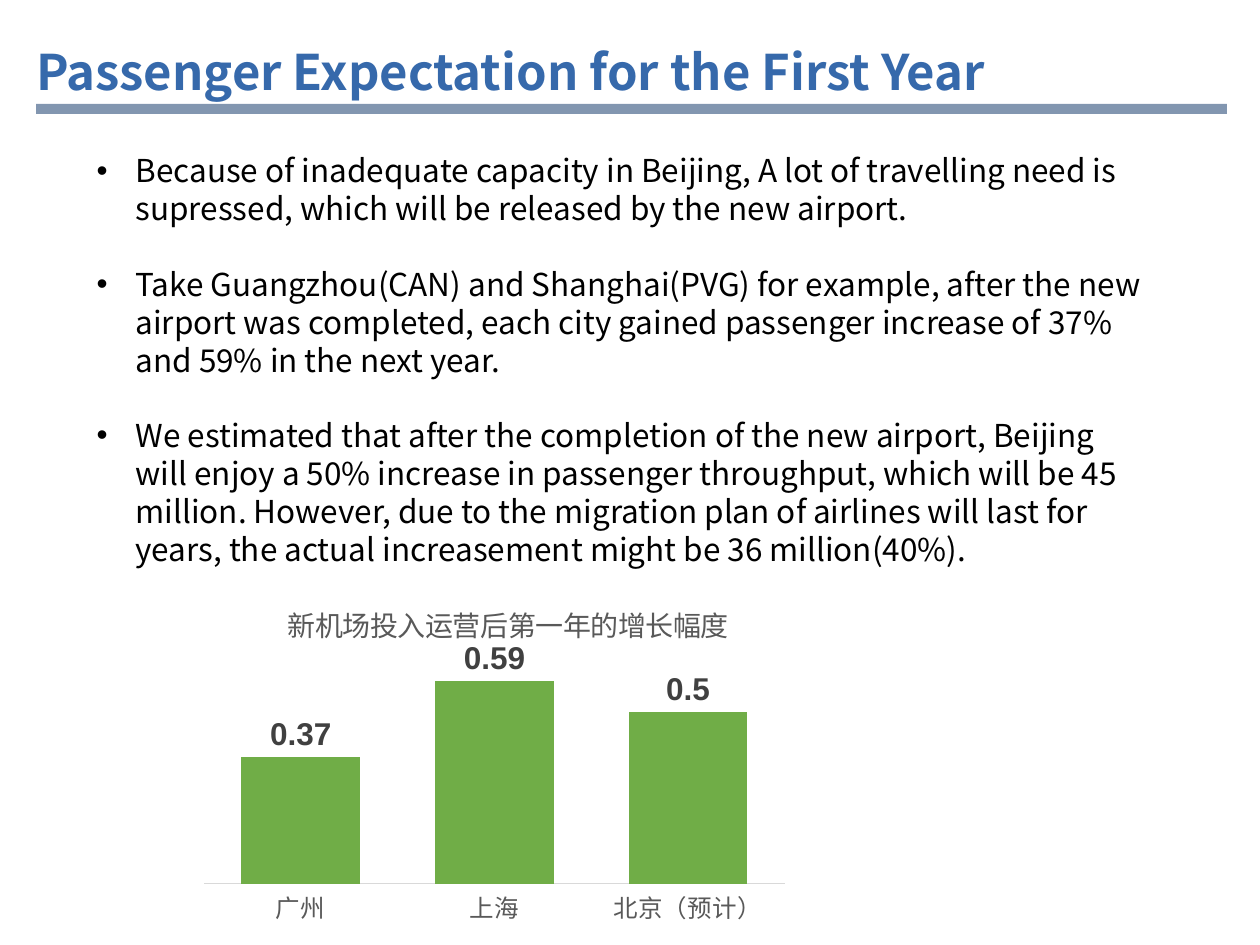
from lxml.etree import SubElement
from pptx import Presentation
from pptx.chart.data import CategoryChartData
from pptx.dml.color import RGBColor
from pptx.enum.chart import XL_CHART_TYPE, XL_LABEL_POSITION, XL_TICK_MARK
from pptx.enum.shapes import MSO_SHAPE
from pptx.enum.text import MSO_ANCHOR, MSO_AUTO_SIZE, PP_ALIGN
from pptx.oxml.ns import qn
from pptx.util import Inches, Pt

BLUE = RGBColor(0x36, 0x69, 0xAB)
SLATE = RGBColor(0x82, 0x96, 0xB0)
GREEN = RGBColor(0x70, 0xAD, 0x47)
BLACK = RGBColor(0, 0, 0)
DARK = RGBColor(0x40, 0x40, 0x40)
GRAY = RGBColor(0x59, 0x59, 0x59)
PALE = RGBColor(0xD9, 0xD9, 0xD9)
FACE = "Noto Sans CJK SC"
PX = Inches(1) // 126

POINTS = [
    "Because of inadequate capacity in Beijing, A lot of travelling need is "
    "supressed, which will be released by the new airport.",
    "Take Guangzhou(CAN) and Shanghai(PVG) for example, after the new airport "
    "was completed, each city gained passenger increase of 37% and 59% in the "
    "next year.",
    "We estimated that after the completion of the new airport, Beijing will "
    "enjoy a 50% increase in passenger throughput, which will be 45 million. "
    "However, due to the migration plan of airlines will last for years, the "
    "actual increasement might be 36 million(40%).",
]
GROWTH = {"广州": 0.37, "上海": 0.59, "北京（预计）": 0.5}


def style(font, size, color, bold=False, face=FACE):
    font.name, font.size, font.bold = face, Pt(size), bold
    font.color.rgb = color


def write(para, text, **form):
    """Put text into a paragraph as one run with the given format."""
    run = para.add_run()
    run.text = text
    style(run.font, **form)


def move(shape, left, top, width, height):
    shape.left, shape.top = left * PX, top * PX
    shape.width, shape.height = width * PX, height * PX


def add_title(slide, text):
    shape = slide.shapes.title
    move(shape, 36, 44, 1047, 53)
    frame = shape.text_frame
    frame.auto_size = MSO_AUTO_SIZE.NONE
    frame.vertical_anchor = MSO_ANCHOR.MIDDLE
    frame.margin_left = frame.margin_right = 0
    frame.margin_top = frame.margin_bottom = 0
    para = frame.paragraphs[0]
    para.alignment = PP_ALIGN.LEFT
    write(para, text, size=28, color=BLUE, bold=True)


def add_rule(slide):
    bar = slide.shapes.add_shape(
        MSO_SHAPE.RECTANGLE, 36 * PX, 104 * PX, 1191 * PX, 10 * PX)
    bar.shadow.inherit = False
    bar.fill.solid()
    bar.fill.fore_color.rgb = SLATE
    bar.line.fill.background()


def add_list(slide, points):
    shape = slide.placeholders[1]
    move(shape, 84, 145, 1070, 431)
    frame = shape.text_frame
    frame.auto_size = MSO_AUTO_SIZE.NONE
    for i, text in enumerate(points):
        para = frame.add_paragraph() if i else frame.paragraphs[0]
        para.line_spacing = Pt(21.7)
        para.space_before, para.space_after = Pt(0), Pt(21.3)
        props = para._p.get_or_add_pPr()
        props.set("marL", str(39 * PX))
        props.set("indent", str(-39 * PX))
        write(para, text, size=18, color=BLACK)


def lay_out(node, index, **parts):
    """Give a chart part a manual layout, as shares of the chart's size."""
    for old in node.findall(qn("c:layout")):
        node.remove(old)
    layout = SubElement(node, qn("c:layout"))
    node.insert(index, layout)
    manual = SubElement(layout, qn("c:manualLayout"))
    for name, value in parts.items():
        SubElement(manual, qn(f"c:{name}")).set("val", str(value))


def add_chart(slide, title, values):
    data = CategoryChartData()
    data.categories = list(values)
    data.add_series("Series 1", list(values.values()))
    chart = slide.shapes.add_chart(
        XL_CHART_TYPE.COLUMN_CLUSTERED,
        192 * PX, 567 * PX, 605 * PX, 364 * PX, data).chart
    style(chart.font, 10, BLACK, face="Calibri")
    chart.has_legend = False
    chart.has_title = True
    write(chart.chart_title.text_frame.paragraphs[0], title,
          size=16, color=GRAY)

    base = chart.category_axis
    base.major_tick_mark = XL_TICK_MARK.NONE
    style(base.tick_labels.font, 14, GRAY)
    base.format.line.color.rgb = PALE
    base.format.line.width = Pt(0.75)
    scale = chart.value_axis
    scale.minimum_scale, scale.maximum_scale = 0, 0.7
    scale.has_major_gridlines = False
    scale.visible = False

    plot = chart.plots[0]
    plot.gap_width, plot.overlap = 63, -55
    plot.vary_by_categories = False
    bars = plot.series[0]
    bars.format.fill.solid()
    bars.format.fill.fore_color.rgb = GREEN
    labels = bars.data_labels
    labels.show_value = True
    labels.position = XL_LABEL_POSITION.OUTSIDE_END
    labels.number_format = "General"
    labels.number_format_is_linked = False
    style(labels.font, 18, DARK, bold=True, face="Arial")

    root = chart._chartSpace.chart
    lay_out(root.find(qn("c:title")), 1,
            xMode="edge", yMode="edge", x=0.15, y=0.08)
    lay_out(root.plotArea, 0, layoutTarget="inner", xMode="edge",
            yMode="edge", x=0.02, y=0.21, w=0.96, h=0.66)


def main():
    deck = Presentation()
    deck.slide_width, deck.slide_height = Inches(10), Inches(7.5)
    slide = deck.slides.add_slide(deck.slide_layouts[1])
    add_list(slide, POINTS)
    add_rule(slide)
    add_title(slide, "Passenger Expectation for the First Year")
    add_chart(slide, "新机场投入运营后第一年的增长幅度", GROWTH)
    deck.save("out.pptx")


if __name__ == "__main__":
    main()
